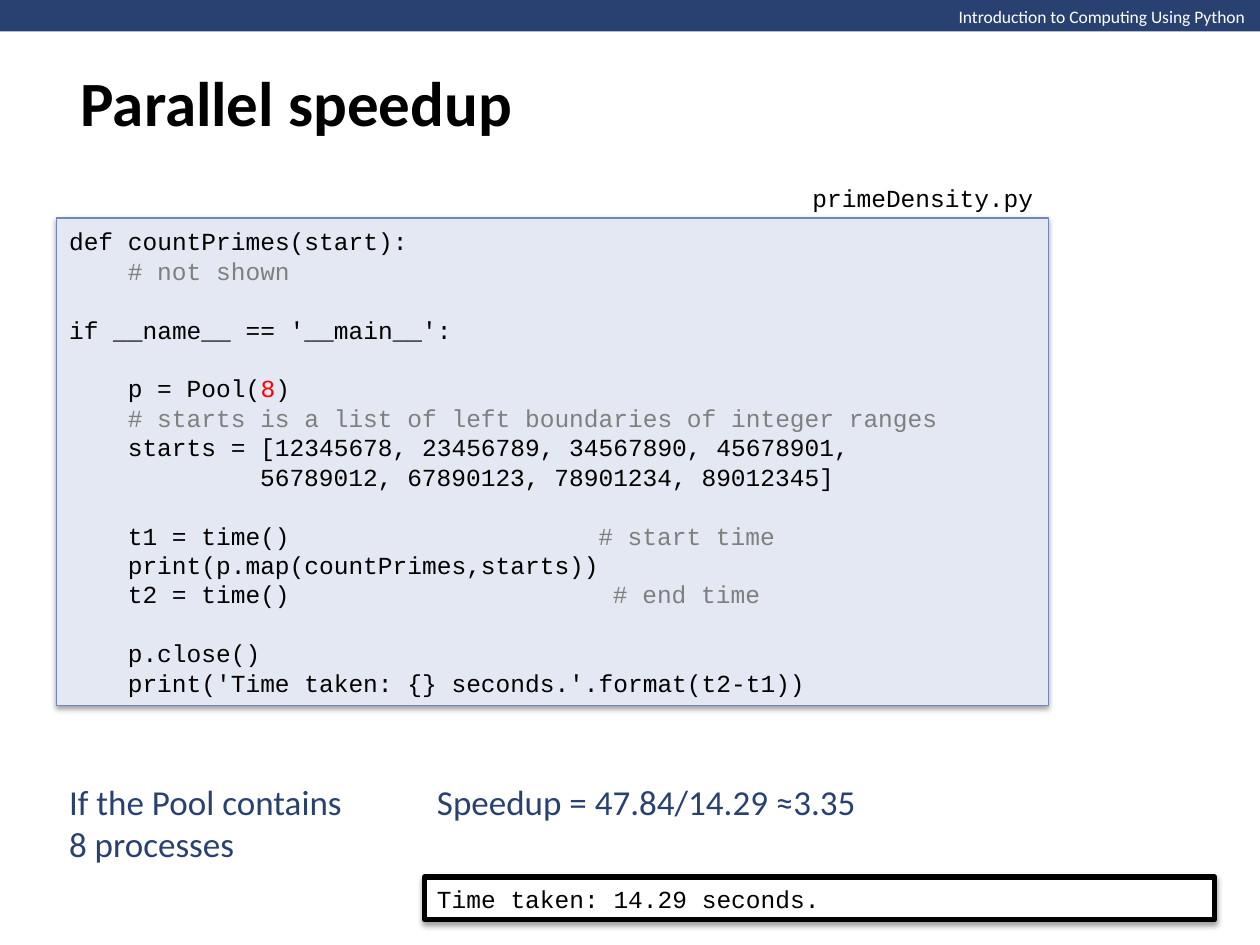
from dataclasses import dataclass
from lxml.etree import SubElement
from pptx import Presentation
from pptx.dml.color import RGBColor
from pptx.enum.shapes import MSO_SHAPE
from pptx.enum.text import MSO_ANCHOR, PP_ALIGN
from pptx.oxml.ns import qn
from pptx.util import Inches, Pt


@dataclass(frozen=True)
class Theme:
    navy: str = "294171"
    black: str = "000000"
    white: str = "FFFFFF"
    gray: str = "7F7F7F"
    red: str = "FF0000"
    code_fill: str = "E3E8F2"
    code_line: str = "7088BA"
    body: str = "Calibri"
    mono: str = "Courier New"
    title_size: int = 36
    note_size: int = 20
    code_size: int = 14
    header_size: int = 10


T = Theme()
CODE = dict(name=T.mono, size=Pt(T.code_size))
NOTE = dict(name=T.body, size=Pt(T.note_size))
CHAR_WIDTH = 0.6 * T.code_size
BLANK_LINE = 1.2 * T.code_size

CODE_BLOCKS = [
    [[("def countPrimes(start):", T.black)],
     [("\t# not shown", T.gray)]],
    [[("if __name__ == '__main__':", T.black)]],
    [[("\tp = Pool(", T.black), ("8", T.red), (")", T.black)],
     [("\t# starts is a list of left boundaries of integer ranges", T.gray)],
     [("\tstarts = [12345678, 23456789, 34567890, 45678901,", T.black)],
     [("\t\t56789012, 67890123, 78901234, 89012345]", T.black)]],
    [[("\tt1 = time()\t", T.black), ("# start time", T.gray)],
     [("\tprint(p.map(countPrimes,starts))", T.black)],
     [("\tt2 = time()\t", T.black), ("# end time", T.gray)]],
    [[("\tp.close()", T.black)],
     [("\tprint('Time taken: {} seconds.'.format(t2-t1))", T.black)]],
]


def add_run(p, text, color, font):
    r = p.add_run()
    r.text = text
    for key, value in font.items():
        setattr(r.font, key, value)
    r.font.color.rgb = RGBColor.from_string(color)


def set_frame(tf, wrap=True, anchor=MSO_ANCHOR.MIDDLE):
    for key, value in dict(word_wrap=wrap, vertical_anchor=anchor).items():
        setattr(tf, key, value)


def set_tabs(p, columns):
    tabs = SubElement(p._p.get_or_add_pPr(), qn("a:tabLst"))
    for column in columns:
        SubElement(tabs, qn("a:tab"), pos=str(Pt(column * CHAR_WIDTH)), algn="l")


def add_shadow(sp):
    effects = SubElement(sp._element.spPr, qn("a:effectLst"))
    shadow = SubElement(effects, qn("a:outerShdw"), blurRad=str(Pt(3.1)),
                        dist=str(Pt(1.6)), dir="5400000", rotWithShape="0")
    color = SubElement(shadow, qn("a:srgbClr"), val=T.black)
    SubElement(color, qn("a:alpha"), val="38000")


def add_box(slide, box, fill, line=None, width=0):
    sp = slide.shapes.add_shape(MSO_SHAPE.RECTANGLE, *map(Inches, box))
    sp.fill.solid()
    sp.fill.fore_color.rgb = RGBColor.from_string(fill)
    if line:
        sp.line.color.rgb = RGBColor.from_string(line)
        sp.line.width = Pt(width)
        add_shadow(sp)
    else:
        sp.line.fill.background()
        sp.shadow.inherit = False
    set_frame(sp.text_frame)
    sp.text_frame.paragraphs[0].alignment = PP_ALIGN.LEFT
    return sp


def add_label(slide, box, text, color, font, **frame):
    sp = slide.shapes.add_textbox(*map(Inches, box))
    set_frame(sp.text_frame, **frame)
    add_run(sp.text_frame.paragraphs[0], text, color, font)


def add_code(slide, box, blocks):
    tf = add_box(slide, box, T.code_fill, T.code_line, 0.75).text_frame
    lines = [(block, i, runs) for block, group in enumerate(blocks)
             for i, runs in enumerate(group)]
    for n, (block, i, runs) in enumerate(lines):
        p = tf.add_paragraph() if n else tf.paragraphs[0]
        p.alignment = PP_ALIGN.LEFT
        if block and i == 0:
            p.space_before = Pt(BLANK_LINE)
        comment_column = 37 if runs[-1][0] == "# end time" else 36
        set_tabs(p, (4, 13, comment_column))
        for text, color in runs:
            add_run(p, text, color, CODE)


def set_title(slide, box, text):
    sp = slide.shapes.title
    for key, value in zip(("left", "top", "width", "height"), box):
        setattr(sp, key, Inches(value))
    set_frame(sp.text_frame)
    p = sp.text_frame.paragraphs[0]
    p.alignment = PP_ALIGN.LEFT
    add_run(p, text, T.black, dict(name=T.body, size=Pt(T.title_size), bold=True))


def main():
    prs = Presentation()
    prs.slide_width, prs.slide_height = Inches(10), Inches(7.5)
    slide = prs.slides.add_slide(prs.slide_layouts[5])

    add_code(slide, (0.45, 1.73, 7.87, 3.87), CODE_BLOCKS)
    add_box(slide, (0, 0, 10, 0.25), T.navy)
    add_label(slide, (7.51, 0, 2.5, 0.27), "Introduction to Computing Using Python",
              T.white, dict(name=T.body, size=Pt(T.header_size)),
              wrap=False, anchor=MSO_ANCHOR.TOP)
    set_title(slide, (0.54, 0, 9.46, 1.61), "Parallel speedup")
    add_label(slide, (6.35, 1.4, 1.97, 0.34), "primeDensity.py", T.black, CODE, wrap=False)
    add_label(slide, (0.45, 6.14, 2.48, 0.77), "If the Pool contains 8 processes", T.navy, NOTE)
    result = add_box(slide, (3.37, 6.96, 6.27, 0.34), T.white, T.black, 3)
    add_run(result.text_frame.paragraphs[0], "Time taken: 14.29 seconds.", T.black, CODE)
    add_label(slide, (3.37, 6.14, 3.94, 0.44), "Speedup = 47.84/14.29 ≈3.35", T.navy, NOTE)

    prs.save("out.pptx")


main()
